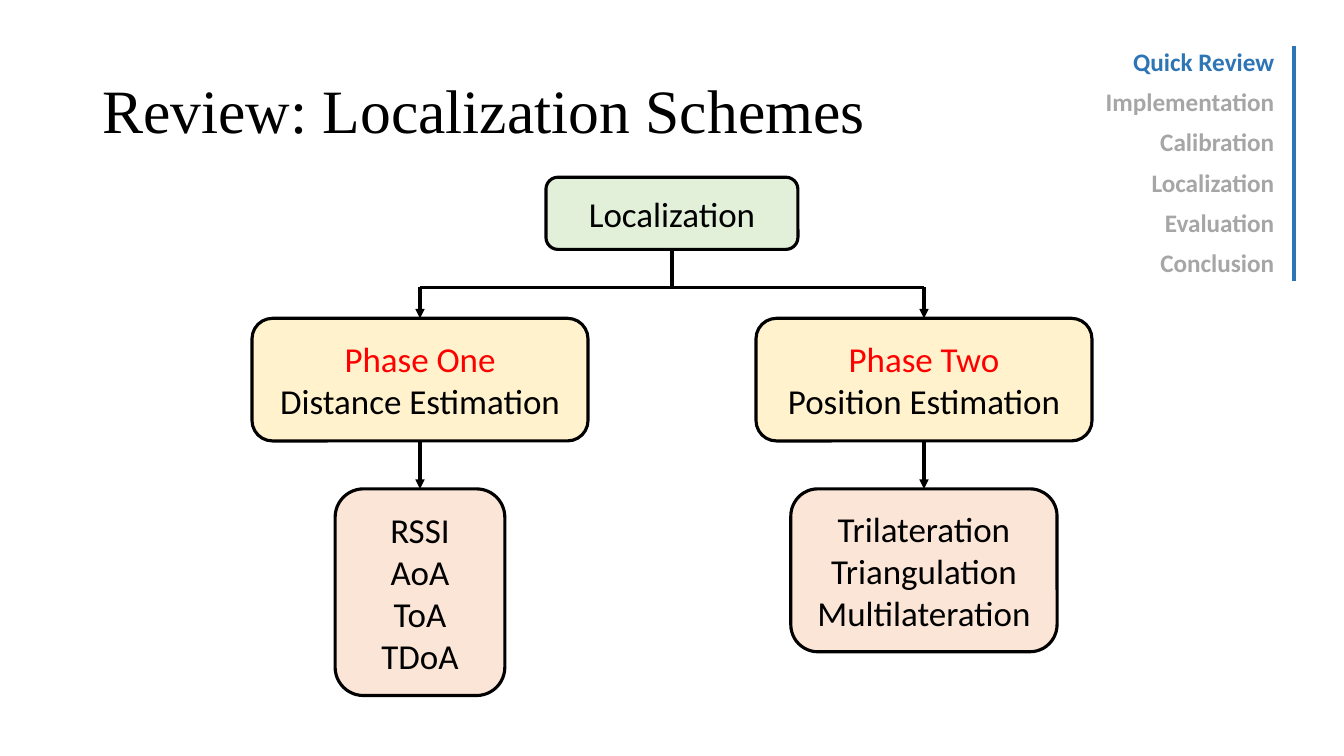
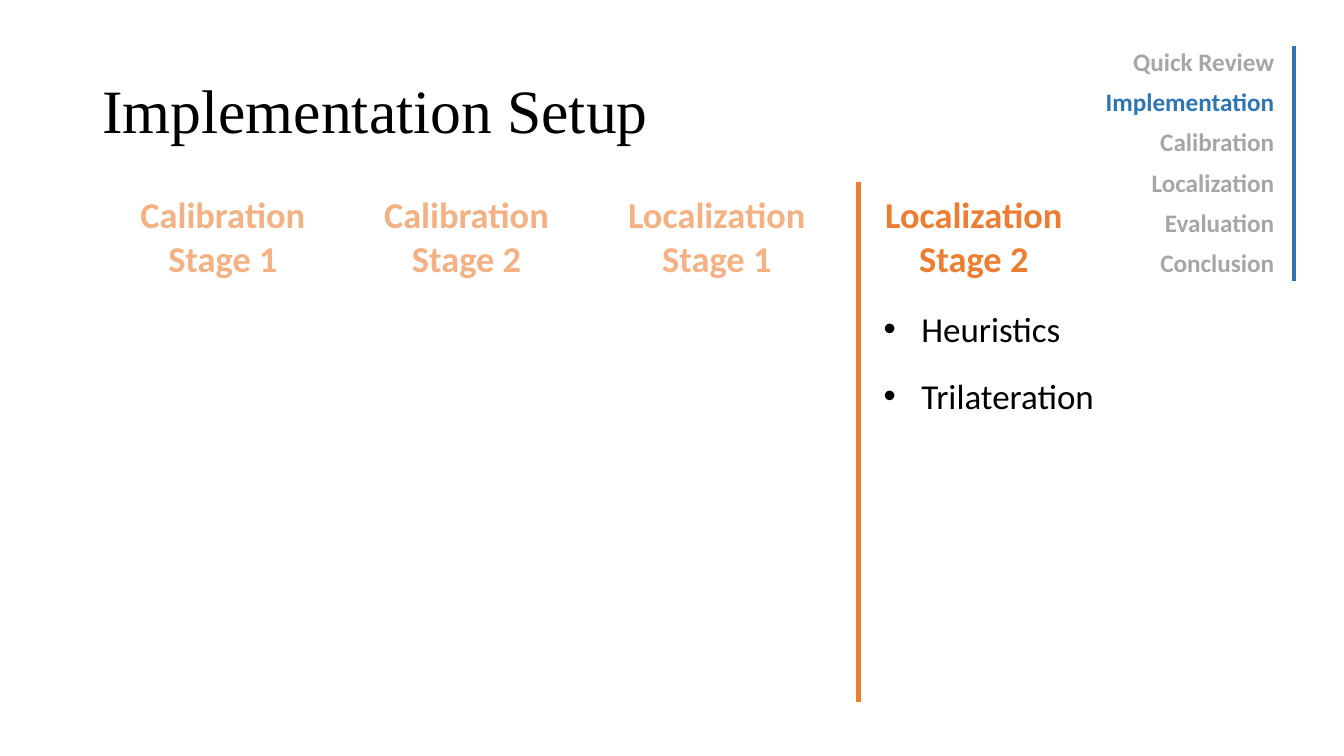
import pptx
import pptx.util
import pptx.dml.color
import pptx.enum.shapes
import pptx.enum.text
import pptx.oxml
import pptx.oxml.ns

# The slide is a grid of square cells; every length below counts cells.
COLUMNS, ROWS = 160, 90
CELL = pptx.util.Inches(7.5) / ROWS

COLORS = {
    "ink": "000000", "phase_name": "FF0000",
    "root": "E2F0D9", "phase": "FFF2CC", "method": "FBE5D6",
    "current": "2E75B6", "other": "A6A6A6",
    "stage": "ED7D31", "stage_faded": "F4B183",
}
BODY_FONT, TITLE_FONT = "Calibri", "Times New Roman"
TITLE_BOX = (11, 4.8, 138, 17.4)
AGENDA_BOX = (124, 4.9, 30.1, 28.8)
AGENDA = ["Quick Review", "Implementation", "Calibration",
          "Localization", "Evaluation", "Conclusion"]
ALIGN = pptx.enum.text.PP_ALIGN
MIDDLE = pptx.enum.text.MSO_ANCHOR.MIDDLE


# Shared helpers

def cells(*lengths):
    return [pptx.util.Emu(round(length * CELL)) for length in lengths]


def color(name):
    return pptx.dml.color.RGBColor.from_string(COLORS[name])


def write(text_frame, lines, size, colors, align, bold=False, font=BODY_FONT):
    """Fill a frame with one paragraph a line; the last colour carries on."""
    text_frame.text = "\n".join(lines)
    text_frame.word_wrap = True
    for index, paragraph in enumerate(text_frame.paragraphs):
        paragraph.alignment = align
        for run in paragraph.runs:
            run.font.name = font
            run.font.size = pptx.util.Pt(size)
            run.font.bold = bold
            run.font.color.rgb = color(colors[min(index, len(colors) - 1)])


def add_label(slide, box, lines, size, color_name, align):
    text_frame = slide.shapes.add_textbox(*cells(*box)).text_frame
    text_frame.margin_left = text_frame.margin_right = 0
    text_frame.vertical_anchor = MIDDLE
    write(text_frame, lines, size, [color_name], align, bold=True)


def add_line(slide, start, end, color_name="ink", width=2.25, arrow=False,
             source=None, target=None):
    connector = slide.shapes.add_connector(
        pptx.enum.shapes.MSO_CONNECTOR.STRAIGHT, *cells(*start, *end))
    if source is not None:
        connector.begin_connect(source, 2)
    if target is not None:
        connector.end_connect(target, 0)
    connector.line.color.rgb = color(color_name)
    connector.line.width = pptx.util.Pt(width)
    properties = connector.element.spPr
    if arrow:
        tail = pptx.oxml.parse_xml(
            f'<a:tailEnd {pptx.oxml.ns.nsdecls("a")} type="triangle"/>')
        properties.find(pptx.oxml.ns.qn("a:ln")).append(tail)
    properties.append(pptx.oxml.parse_xml(
        f'<a:effectLst {pptx.oxml.ns.nsdecls("a")}/>'))


def place(shape, box):
    shape.left, shape.top, shape.width, shape.height = cells(*box)


def add_slide(presentation, layout_index, title_text, current):
    """Start a slide with its title and the agenda."""
    slide = presentation.slides.add_slide(
        presentation.slide_layouts[layout_index])
    title = slide.shapes.title
    place(title, TITLE_BOX)
    write(title.text_frame, [title_text], 44, ["ink"], ALIGN.LEFT,
          font=TITLE_FONT)
    title.text_frame.vertical_anchor = MIDDLE
    title.text_frame.paragraphs[0].line_spacing = 0.9
    add_agenda(slide, AGENDA_BOX, current)
    return slide


def add_agenda(slide, box, current):
    left, top, width, height = box
    row = height / len(AGENDA)
    for index, section in enumerate(AGENDA):
        add_label(slide, (left, top + index * row, width - 2.4, row),
                  [section], 18,
                  "current" if section == current else "other", ALIGN.RIGHT)
    add_line(slide, (left + width, top + 0.6),
             (left + width, top + height - 0.2), "current", 3)


# Tree of localization schemes

def add_node(slide, center, top, width, height, fill, lines, colors=("ink",)):
    node = slide.shapes.add_shape(
        pptx.enum.shapes.MSO_SHAPE.ROUNDED_RECTANGLE,
        *cells(center - width / 2, top, width, height))
    node.shadow.inherit = False
    node.fill.solid()
    node.fill.fore_color.rgb = color(fill)
    node.line.color.rgb = color("ink")
    node.line.width = pptx.util.Pt(2.25)
    node.text_frame.vertical_anchor = MIDDLE
    write(node.text_frame, lines, 25, colors, ALIGN.CENTER)
    return node


def add_tree(slide, box, branches):
    left, top, width, height = box
    middle = left + width / 2
    fork = top + 13.1
    phase_top, phase_width, phase_height = top + 16.8, 40, 14.6
    method_top = top + 37.1
    first, last = left + phase_width / 2, left + width - phase_width / 2
    step = (last - first) / (len(branches) - 1)

    root = add_node(slide, middle, top, 30, 8.6, "root", ["Localization"])
    add_line(slide, (middle, top + 8.6), (middle, fork), source=root)
    add_line(slide, (first, fork), (last, fork))
    for index, (phase_lines, methods, method_width, method_height) in enumerate(branches):
        center = first + index * step
        phase = add_node(slide, center, phase_top, phase_width, phase_height,
                         "phase", phase_lines, ("phase_name", "ink"))
        method = add_node(slide, center, method_top, method_width,
                          method_height, "method", methods)
        add_line(slide, (center, fork), (center, phase_top),
                 arrow=True, target=phase)
        add_line(slide, (center, phase_top + phase_height),
                 (center, method_top), arrow=True, source=phase, target=method)


def build_review(presentation):
    slide = add_slide(presentation, 5, "Review: Localization Schemes",
                      "Quick Review")
    add_tree(slide, (30, 21.1, 100, 61.7), [
        (["Phase One", "Distance Estimation"],
         ["RSSI", "AoA", "ToA", "TDoA"], 20.2, 24.6),
        (["Phase Two", "Position Estimation"],
         ["Trilateration", "Triangulation", "Multilateration"], 31.7, 19.4),
    ])


# Row of stages, the last one opened

def add_stages(slide, box, stages, items):
    left, top, width, height = box
    gap = (width - sum(stage[2] for stage in stages)) / (len(stages) - 1)
    for name, number, stage_width in stages:
        opened = (name, number, stage_width) == stages[-1]
        add_label(slide, (left, top, stage_width, 11.8), [name, number], 26,
                  "stage" if opened else "stage_faded", ALIGN.CENTER)
        if opened:
            add_line(slide, (left - 1.8, top - 0.5),
                     (left - 1.8, top + height), "stage", 3)
            add_list(slide, (left, top + 13.8, 27.8, 14.3), items)
        left += stage_width + gap


def add_list(slide, box, items):
    body = slide.placeholders[1]
    place(body, box)
    text_frame = body.text_frame
    write(text_frame, items, 25, ["ink"], ALIGN.LEFT)
    text_frame.auto_size = pptx.enum.text.MSO_AUTO_SIZE.NONE
    for paragraph in text_frame.paragraphs:
        paragraph.space_before = pptx.util.Pt(0)
        paragraph.space_after = pptx.util.Pt(18)


def build_setup(presentation):
    slide = add_slide(presentation, 1, "Implementation Setup",
                      "Implementation")
    add_stages(slide, (15.4, 22.2, 112.5, 61.4), [
        ("Calibration", "Stage 1", 22.3),
        ("Calibration", "Stage 2", 22.3),
        ("Localization", "Stage 1", 23.9),
        ("Localization", "Stage 2", 23.9),
    ], ["Heuristics", "Trilateration"])


def main():
    presentation = pptx.Presentation()
    presentation.slide_width, presentation.slide_height = cells(COLUMNS, ROWS)
    build_review(presentation)
    build_setup(presentation)
    presentation.save("out.pptx")


if __name__ == "__main__":
    main()
